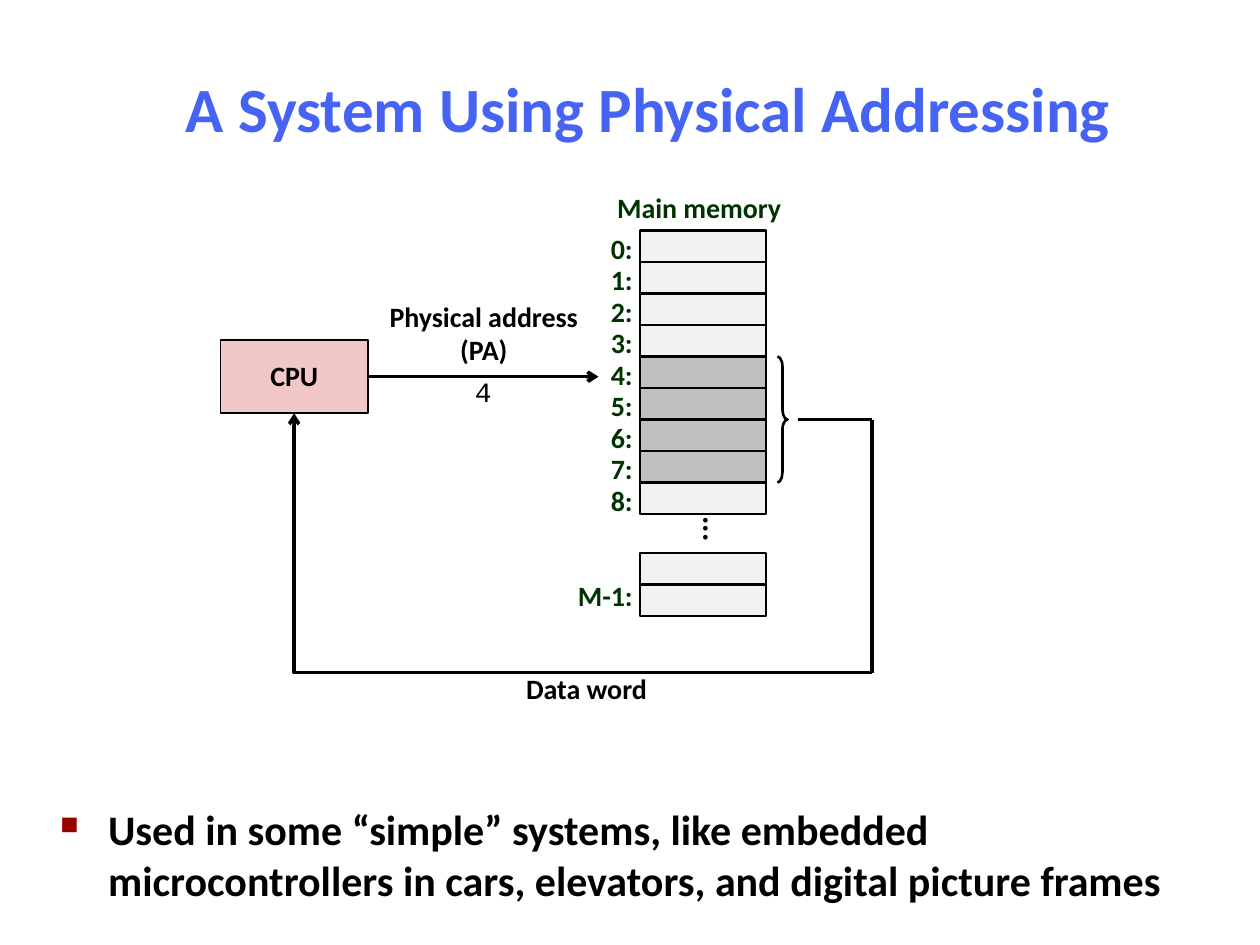
from pptx import Presentation
from pptx.dml.color import RGBColor
from pptx.enum import shapes, text
from pptx.oxml import parse_xml
from pptx.oxml.ns import nsdecls, qn
from pptx.util import Inches, Pt

INK, GREEN, LIGHT, GREY = "000000", "003300", "F2F2F2", "C0C0C0"
CENTER, LEFT, RIGHT = text.PP_ALIGN.CENTER, text.PP_ALIGN.LEFT, text.PP_ALIGN.RIGHT
TOP, MIDDLE = text.MSO_ANCHOR.TOP, text.MSO_ANCHOR.MIDDLE
ROW = 0.25


def rgb(value):
    """Return a colour from a hex string."""
    return RGBColor.from_string(value)


def box(x, y, w, h):
    """Return a box in slide units."""
    return Inches(x), Inches(y), Inches(w), Inches(h)


def write(sp, words, size=16, color=INK, align=CENTER, anchor=MIDDLE,
          bold=True, font="Calibri", spacing=0.98, before=0, wrap=False):
    """Set and format the text of a shape."""
    tf = sp.text_frame
    tf.text = words
    tf.word_wrap = wrap
    tf.vertical_anchor = anchor
    for p in tf.paragraphs:
        p.alignment, p.line_spacing, p.space_before = align, spacing, Pt(before)
        for r in p.runs:
            r.font.name, r.font.size, r.font.bold = font, Pt(size), bold
            r.font.color.rgb = rgb(color)
    return tf


def label(s, words, x, y, w, h, **style):
    """Add a text box."""
    return write(s.shapes.add_textbox(*box(x, y, w, h)), words, **style)


def rect(s, x, y, w, h, fill, weight=1.5):
    """Add an outlined rectangle."""
    sp = s.shapes.add_shape(shapes.MSO_SHAPE.RECTANGLE, *box(x, y, w, h))
    sp.shadow.inherit = False
    sp.fill.solid()
    sp.fill.fore_color.rgb = rgb(fill)
    sp.line.color.rgb = rgb(INK)
    sp.line.width = Pt(weight)
    return sp


def wire(s, x1, y1, x2, y2, kind=shapes.MSO_CONNECTOR.STRAIGHT, arrow=False):
    """Add a connector, with an arrowhead at its end if asked."""
    sp = s.shapes.add_connector(kind, Inches(x1), Inches(y1), Inches(x2), Inches(y2))
    sp.line.color.rgb = rgb(INK)
    sp.line.width = Pt(2)
    if arrow:
        sp.line._get_or_add_ln().append(
            parse_xml(f'<a:tailEnd {nsdecls("a")} type="arrow"/>'))
    sp._element.spPr.append(parse_xml(f'<a:effectLst {nsdecls("a")}/>'))
    return sp


def heading(s, x, y, w, h):
    """Place the slide title."""
    sp = s.shapes.title
    sp.left, sp.top, sp.width, sp.height = box(x, y, w, h)
    write(sp, "A System Using Physical Addressing", 36, "4763F3", spacing=1.0, wrap=True)


def memory(s, x, y):
    """Draw the memory cells, their addresses and the word brace."""
    style = dict(color=GREEN, anchor=TOP, spacing=0.88, before=6)
    label(s, "Main memory", x - 0.28, y - 0.33, 1.5, 0.33, **style)
    for i in range(9):
        rect(s, x, y + i * ROW, 1, ROW, GREY if 4 <= i <= 7 else LIGHT)
        label(s, f"{i}:", x - 0.36, y - 0.01 + i * ROW, 0.4, 0.33, align=RIGHT, **style)
    tf = label(s, "...", x + 0.09, y + 9 * ROW - 0.08, 1, ROW, size=18)
    tf.margin_left = tf.margin_right = Inches(0.05)
    tf.margin_top = tf.margin_bottom = Inches(0.1)
    tf._txBody.bodyPr.set("vert", "eaVert")
    for i in range(2):
        rect(s, x, y + 2.56 + i * ROW, 1, ROW, LIGHT)
    label(s, "M-1:", x - 0.76, y + 2.75, 0.8, 0.33, align=RIGHT, **style)
    brace = s.shapes.add_shape(shapes.MSO_SHAPE.RIGHT_BRACE,
                               *box(x + 1.09, y + 4 * ROW, 0.08, 4 * ROW))
    brace.adjustments[0] = 1.0
    brace.shadow.inherit = False
    brace.fill.background()
    brace.line.color.rgb = rgb(INK)
    brace.line.width = Pt(1.5)


def processor(s, x, y, w, h):
    """Draw the CPU with its address and data paths."""
    write(rect(s, x, y, w, h, "F1C7C7", 1), "CPU")
    label(s, "Physical address\n(PA)", x + 1.24, y - 0.36, 1.7, 0.62)
    label(s, "4", x + 1.92, y + 0.22, 0.33, 0.37, align=LEFT, anchor=TOP,
          bold=False, font="Courier New", spacing=1.0)
    label(s, "Data word", x + 2.32, y + 2.59, 1.17, 0.36)
    middle, side, low = y + h / 2, x + 5.17, y + 2.64
    wire(s, x + w, middle, x + 3, middle, arrow=True)
    wire(s, x + 4.58, y + 0.63, side, y + 0.63)
    wire(s, side, y + 0.63, side, low)
    sp = wire(s, side, low, x + w / 2, y + h, shapes.MSO_CONNECTOR.ELBOW, True)
    guides = sp._element.spPr.find(qn("a:prstGeom")).get_or_add_avLst()
    guides.append(parse_xml(f'<a:gd {nsdecls("a")} name="adj1" fmla="val 100000"/>'))


def remark(s, x, y, w, h):
    """Place the bulleted remark."""
    tf = label(s, "Used in some “simple” systems, like embedded microcontrollers "
               "in cars, elevators, and digital picture frames", x, y, w, h, size=24,
               align=LEFT, anchor=TOP, spacing=1.0, before=6, wrap=True)
    pPr = tf.paragraphs[0]._p.get_or_add_pPr()
    pPr.set("marL", str(Inches(0.38)))
    pPr.set("indent", str(Inches(-0.38)))
    for xml in ('<a:buClr {}><a:srgbClr val="990000"/></a:buClr>',
                '<a:buSzPct {} val="60000"/>', '<a:buChar {} char="■"/>'):
        pPr.append(parse_xml(xml.format(nsdecls("a"))))


def main():
    """Build and save the slide."""
    prs = Presentation()
    prs.slide_width, prs.slide_height = Inches(10), Inches(7.5)
    s = prs.slides.add_slide(prs.slide_layouts[5])
    heading(s, 0.38, 0.42, 9.53, 0.86)
    memory(s, 5.08, 1.83)
    processor(s, 1.75, 2.7, 1.17, 0.58)
    remark(s, 0.38, 6.33, 9.37, 0.96)
    prs.save("out.pptx")


main()
